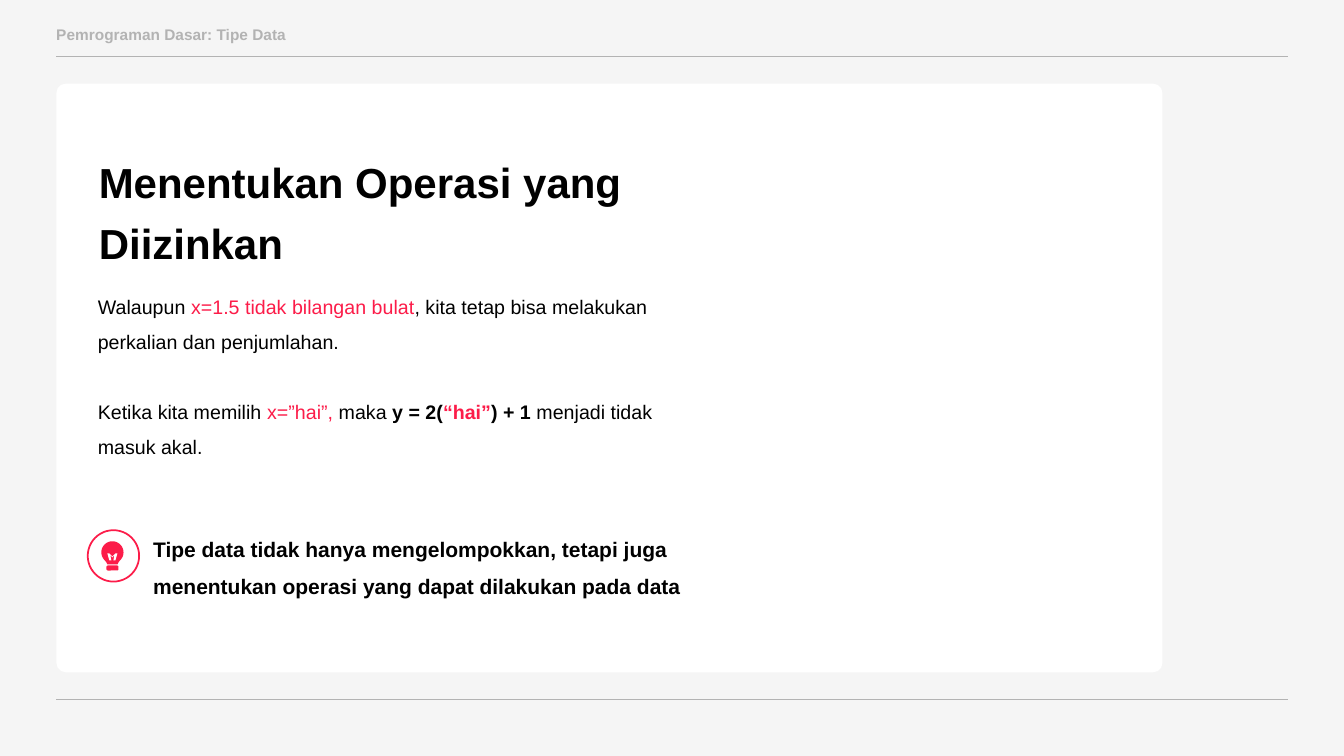
from math import cos, radians, sin

from lxml.etree import SubElement
from pptx import Presentation
from pptx.dml.color import RGBColor
from pptx.enum.shapes import MSO_CONNECTOR, MSO_SHAPE
from pptx.enum.text import MSO_ANCHOR, MSO_AUTO_SIZE, PP_ALIGN
from pptx.oxml.ns import qn
from pptx.util import Inches, Pt

BLACK, WHITE, GREY, PAPER, RED = "000000", "FFFFFF", "B3B3B3", "F5F5F5", "FC1C49"


def rgb(value):
    return RGBColor.from_string(value)


def style_shape(sp, fill, line=None):
    sp.shadow.inherit = False
    sp.fill.solid()
    sp.fill.fore_color.rgb = rgb(fill)
    if line:
        sp.line.color.rgb = rgb(line)
        sp.line.width = Pt(1.25)
    else:
        sp.line.fill.background()


def add_box(shapes, kind, x, y, w, h, fill, line=None):
    sp = shapes.add_shape(kind, Inches(x), Inches(y), Inches(w), Inches(h))
    style_shape(sp, fill, line)
    return sp


def add_outline(shapes, points, fill):
    corners = [(Inches(x), Inches(y)) for x, y in points]
    fb = shapes.build_freeform(*corners[0])
    fb.add_line_segments(corners[1:])
    style_shape(fb.convert_to_shape(), fill)


def add_rule(s, x, y, w):
    line = s.shapes.add_connector(
        MSO_CONNECTOR.STRAIGHT, Inches(x), Inches(y), Inches(x + w), Inches(y))
    line.line.color.rgb = rgb(GREY)
    line.line.width = Pt(0.75)
    SubElement(line._element.spPr, qn("a:effectLst"))


def add_textbox(s):
    return s.shapes.add_textbox(0, 0, 0, 0)


def fill_text(sp, box, paragraphs, size, spacing=1, gap=0, inset=0.05):
    sp.left, sp.top, sp.width, sp.height = map(Inches, box)
    tf = sp.text_frame
    tf.word_wrap = True
    tf.auto_size = MSO_AUTO_SIZE.NONE
    tf.vertical_anchor = MSO_ANCHOR.TOP
    tf.margin_left = tf.margin_right = Inches(0.1)
    tf.margin_top = tf.margin_bottom = Inches(inset)
    for i, runs in enumerate(paragraphs):
        p = tf.add_paragraph() if i else tf.paragraphs[0]
        pPr = p._p.get_or_add_pPr()
        pPr.set("marL", "0")
        pPr.set("indent", "0")
        SubElement(pPr, qn("a:buNone"))
        p.alignment = PP_ALIGN.LEFT
        p.line_spacing = spacing
        p.space_before = Pt(gap if i else 0)
        for text, color, bold in runs:
            r = p.add_run()
            r.text = text
            r.font.name = "Arial"
            r.font.size = Pt(size)
            r.font.bold = bold
            r.font.color.rgb = rgb(color)


def add_frame(s, x, y, w, h):
    s.background.fill.solid()
    s.background.fill.fore_color.rgb = rgb(PAPER)
    for rule_y in (y, y + h):
        add_rule(s, x, rule_y, w)
    card = add_box(s.shapes, MSO_SHAPE.ROUNDED_RECTANGLE, x, y + 0.27, 10.97, h - 0.54, WHITE)
    card.adjustments[0] = 0.016
    fill_text(add_textbox(s), (x - 0.1, y - 0.36, 5.84, 0.29),
              [[("Pemrograman Dasar: Tipe Data", GREY, True)]], 11)


def add_lesson(s, x, y, w):
    title, body = s.shapes.title, s.placeholders[1]
    for sp in (title, body):
        s.shapes._spTree.append(sp._element)
    fill_text(title, (x, y, w, 0.69),
              [[("Menentukan Operasi yang Diizinkan", BLACK, True)]], 30, 1.21)
    fill_text(body, (x - 0.01, y + 1.36, w, 2.07), [
        [("Walaupun ", BLACK, False),
         ("x=1.5 tidak bilangan bulat", RED, False),
         (", kita tetap bisa melakukan perkalian dan penjumlahan.", BLACK, False)],
        [("Ketika kita memilih ", BLACK, False),
         ("x=”hai”,", RED, False),
         (" maka ", BLACK, False),
         ("y = 2(", BLACK, True),
         ("“hai”", RED, True),
         (") + 1", BLACK, True),
         (" menjadi tidak masuk akal.", BLACK, False)],
    ], 14, 1.49, gap=25)


def add_bulb(s, x, y, size):
    shapes = s.shapes.add_group_shape().shapes
    add_box(shapes, MSO_SHAPE.OVAL, x, y, size, size, WHITE, RED)
    cx, cy, radius = x + size / 2 - 0.01, y + 0.22, 0.11
    arc = [(cx + radius * cos(radians(a)), cy + radius * sin(radians(a)))
           for a in range(130, 411, 10)]
    neck = [(cx + dx, cy + dy) for dx, dy in
            ((0.06, 0.1), (0.05, 0.12), (-0.05, 0.12), (-0.06, 0.1))]
    add_outline(shapes, arc + neck, RED)
    base = add_box(shapes, MSO_SHAPE.ROUNDED_RECTANGLE, cx - 0.06, cy + 0.13, 0.12, 0.05, RED)
    base.adjustments[0] = 0.3
    half = [(0, 0.04), (0.03, 0.01), (0.05, 0.01), (0.03, 0.08),
            (0.01, 0.08), (0.02, 0.03), (0, 0.05)]
    mirrored = [(-dx, dy) for dx, dy in half[-2:0:-1]]
    add_outline(shapes, [(cx + dx, cy + dy) for dx, dy in half + mirrored], WHITE)


def add_tip(s, x, y, w):
    add_bulb(s, x, y + 0.16, 0.51)
    fill_text(add_textbox(s), (x + 0.55, y, w, 0.83), [[(
        "Tipe data tidak hanya mengelompokkan, tetapi juga "
        "menentukan operasi yang dapat dilakukan pada data", BLACK, True)]],
        15, 1.49, inset=0.1)


def main():
    prs = Presentation()
    prs.slide_width, prs.slide_height = Inches(13.33), Inches(7.5)
    s = prs.slides.add_slide(prs.slide_layouts[1])
    add_frame(s, 0.56, 0.56, 12.21, 6.38)
    add_lesson(s, 0.88, 1.4, 5.84)
    add_tip(s, 0.87, 5.1, 5.55)
    prs.save("out.pptx")


if __name__ == "__main__":
    main()
